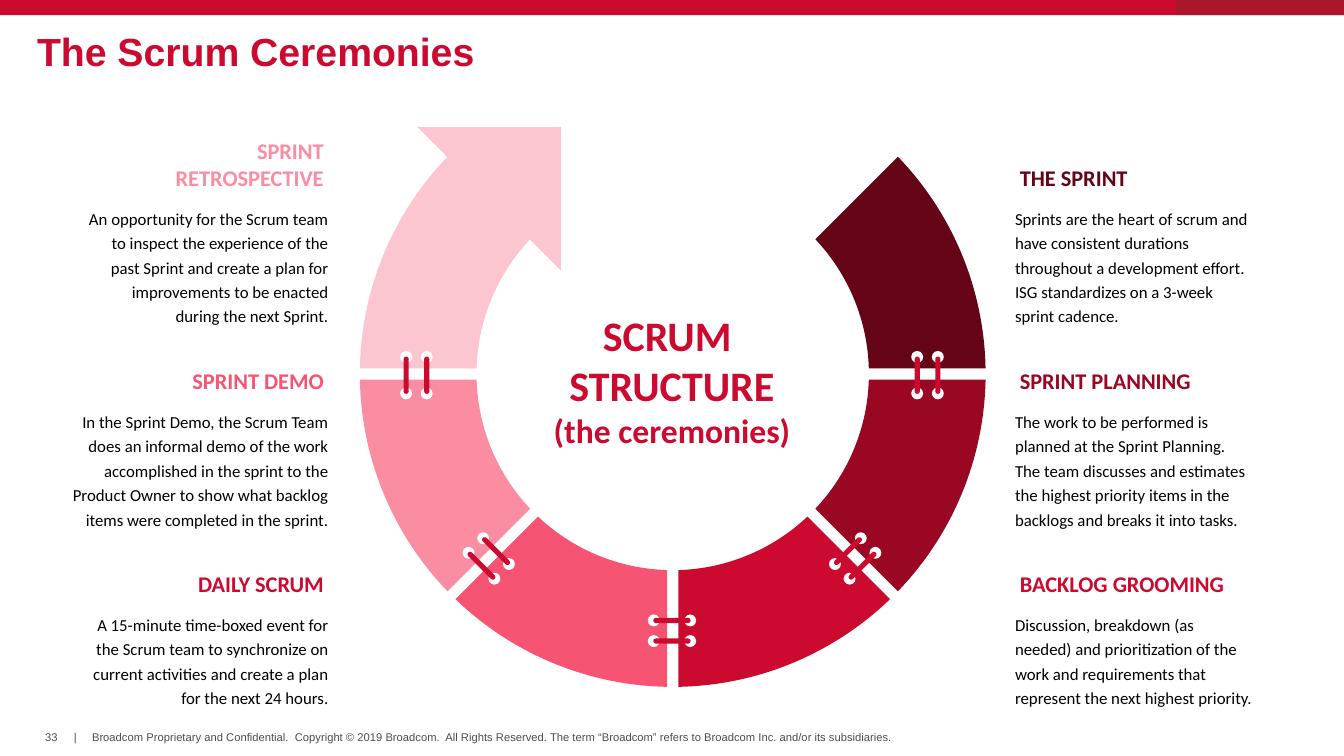
from dataclasses import dataclass
from math import asin, cos, radians, sin, tan

from lxml import etree
from pptx import Presentation, util as u
from pptx.dml.color import RGBColor
from pptx.enum import shapes, text
from pptx.oxml import ns

Cm = u.Cm
MSO, ALIGN, ANCHOR = shapes.MSO_SHAPE, text.PP_ALIGN, text.MSO_ANCHOR


@dataclass(frozen=True)
class Theme:
    """Colours, fonts and type sizes of the slide."""
    maroon: str = "660417"
    crimson: str = "990723"
    red: str = "CC092F"
    coral: str = "F75474"
    pink: str = "FA8DA2"
    blush: str = "FCC6D1"
    accent: str = "AB162C"
    grey: str = "4D4D4F"
    black: str = "000000"
    white: str = "FFFFFF"
    head_font: str = "Arial"
    body_font: str = "Calibri"
    title: float = 28
    hub: float = 30
    hub_note: float = 24
    heading: float = 16
    body: float = 12
    footer: float = 8


T = Theme()

RIGHT_NOTES = [
    (["THE SPRINT"], T.maroon, 6.3,
     "Sprints are the heart of scrum and have consistent durations throughout a "
     "development effort. ISG standardizes on a 3-week sprint cadence."),
    (["SPRINT PLANNING"], T.crimson, 6.3,
     "The work to be performed is planned at the Sprint Planning. The team discusses and "
     "estimates the highest priority items in the backlogs and breaks it into tasks."),
    (["BACKLOG GROOMING"], T.red, 6.3,
     "Discussion, breakdown (as needed) and prioritization of the work and requirements "
     "that represent the next highest priority."),
]
LEFT_NOTES = [
    (["SPRINT", "RETROSPECTIVE"], T.pink, 6.3,
     "An opportunity for the Scrum team to inspect the experience of the past Sprint and "
     "create a plan for improvements to be enacted during the next Sprint."),
    (["SPRINT DEMO"], T.coral, 6.96,
     "In the Sprint Demo, the Scrum Team does an informal demo of the work accomplished in "
     "the sprint to the Product Owner to show what backlog items were completed in the sprint."),
    (["DAILY SCRUM"], T.red, 6.3,
     "A 15-minute time-boxed event for the Scrum team to synchronize on current activities "
     "and create a plan for the next 24 hours."),
]
COPYRIGHT = ("Broadcom Proprietary and Confidential.  Copyright © 2019 Broadcom.  All Rights "
             "Reserved. The term “Broadcom” refers to Broadcom Inc. and/or its subsidiaries.")


def paint(sp, color):
    """Give a shape a flat fill with no line or shadow."""
    sp.fill.solid()
    sp.fill.fore_color.rgb = RGBColor.from_string(color)
    sp.line.fill.background()
    sp.shadow.inherit = False
    return sp


def add_shape(s, kind, x, y, w, h, color, rotation=0):
    """Add a flat preset shape, measured in centimetres."""
    sp = paint(s.shapes.add_shape(kind, Cm(x), Cm(y), Cm(w), Cm(h)), color)
    sp.rotation = rotation
    return sp


def style(p, font, size, color, bold=False):
    """Format every run of a paragraph."""
    for r in p.runs:
        r.font.name, r.font.size, r.font.bold = font, u.Pt(size), bold
        r.font.color.rgb = RGBColor.from_string(color)


def add_text(s, box, lines, font, size, color, bold=False, align=ALIGN.LEFT,
             anchor=ANCHOR.TOP, inset=(0.25, 0.13), wrap=True):
    """Add a text box with one paragraph per line and return its text frame."""
    tf = s.shapes.add_textbox(*map(Cm, box)).text_frame
    tf.word_wrap, tf.vertical_anchor = wrap, anchor
    tf.margin_left = tf.margin_right = Cm(inset[0])
    tf.margin_top = tf.margin_bottom = Cm(inset[1])
    tf.text = "\n".join(lines)
    for p in tf.paragraphs:
        p.alignment = align
        style(p, font, size, color, bold)
    return tf


def add_header(s, x, y, w):
    """Draw the top band and fill the title placeholder."""
    accent_w = w / 8
    add_shape(s, MSO.RECTANGLE, x, y, w, 0.38, T.red)
    add_shape(s, MSO.RECTANGLE, x + w - accent_w, y, accent_w, 0.38, T.accent)
    title = s.shapes.title
    title.left, title.top, title.width, title.height = map(Cm, (x + 0.68, y + 0.74, 31.58, 1.02))
    tf = title.text_frame
    tf.text = "The Scrum Ceremonies"
    tf.auto_size, tf.vertical_anchor = text.MSO_AUTO_SIZE.NONE, ANCHOR.TOP
    p = tf.paragraphs[0]
    p.alignment, p.line_spacing = ALIGN.LEFT, 0.85
    style(p, T.head_font, T.title, T.red, True)


def add_footer(s, x, y):
    """Place the page number, the divider and the copyright line."""
    for dx, w, words in ((0, 0.36, "33"), (0.72, 0.08, "|"), (1.18, 20.35, COPYRIGHT)):
        add_text(s, (x + dx, y, w, 0.33), [words], T.head_font, T.footer, T.grey,
                 inset=(0, 0), wrap=False)


def add_segment(s, cx, cy, outer, inner, start, color, gap=0.14):
    """Draw one eighth of the ring with curved arcs and sides set in by the gap."""
    corners, handles = [], []
    for radius, way in ((outer, 1), (inner, -1)):
        trim = asin(gap / radius)
        ends = [radians(start) + trim, radians(start + 45) - trim][::way]
        reach = 4 / 3 * tan((ends[1] - ends[0]) / 4) * radius
        for a, pull in zip(ends, (reach, -reach)):
            x, y = cx + radius * cos(a), cy + radius * sin(a)
            corners.append((Cm(x), Cm(y)))
            handles.append((Cm(x - pull * sin(a)), Cm(y + pull * cos(a))))
    fb = s.shapes.build_freeform(*corners[0])
    fb.add_line_segments(corners[1:], close=True)
    sp = paint(fb.convert_to_shape(), color)
    lines = list(sp.element.iter(ns.qn("a:lnTo")))
    for line, first in ((lines[0], 0), (lines[2], 2)):
        line.tag = ns.qn("a:cubicBezTo")
        for i, (x, y) in enumerate(handles[first:first + 2]):
            pt = etree.Element(ns.qn("a:pt"), x=str(x - sp.left), y=str(y - sp.top))
            line.insert(i, pt)


def add_stitch(s, cx, cy, radius, angle):
    """Bridge a gap in the ring with two bars that end in white holes."""
    a = radians(angle)

    def place(kind, along, across, w, h, color, rotation):
        """Centre a shape at a radial and a tangential offset."""
        x = cx + (radius + along) * cos(a) - across * sin(a)
        y = cy + (radius + along) * sin(a) + across * cos(a)
        return add_shape(s, kind, x - w / 2, y - h / 2, w, h, color, rotation)

    for along in (-0.26, 0.26):
        for across in (-0.46, 0.46):
            place(MSO.OVAL, along, across, 0.3, 0.3, T.white, 0)
        bar = place(MSO.ROUNDED_RECTANGLE, along, 0, 0.94, 0.13, T.red, (angle + 90) % 180)
        bar.adjustments[0] = 0.5


def add_ring(s, x, y, size):
    """Draw the ring of ceremonies with its arrowhead, stitches and centre text."""
    outer, inner = size / 2, size * 0.3135
    cx, cy = x + outer, y + outer
    tf = add_text(s, (cx - 3.45, cy - 1.77, 6.86, 3.84), ["SCRUM  STRUCTURE", "(the ceremonies)"],
                  T.body_font, T.hub, T.red, True, ALIGN.CENTER, ANCHOR.MIDDLE)
    style(tf.paragraphs[1], T.body_font, T.hub_note, T.red, True)
    add_shape(s, MSO.RIGHT_TRIANGLE, cx - 6.43, cy - 6.22, 3.61, 3.61, T.blush, 180)
    colors = (T.maroon, T.crimson, T.red, T.coral, T.pink, T.blush)
    for i, color in enumerate(colors):
        add_segment(s, cx, cy, outer, inner, 45 * (i - 1), color)
    for i in range(len(colors) - 1):
        add_stitch(s, cx - 0.02, cy + 0.03, 6.53 if i % 2 else 6.44, 45 * i)


def add_notes(s, edge, y, notes, align, pitch=5.12):
    """Stack headed notes against a left or right edge."""
    for i, (heading, color, w, body) in enumerate(notes):
        x = edge - w if align == ALIGN.RIGHT else edge
        top = y + i * pitch
        add_text(s, (x, top - 1.75, w, 1.63), heading, T.body_font, T.heading, color, True,
                 align, ANCHOR.BOTTOM)
        tf = add_text(s, (x, top, w, 3.33 if i < 2 else 2.7), [body], T.body_font, T.body,
                      T.black, align=align, inset=(0.13, 0.08))
        tf.paragraphs[0].line_spacing = u.Pt(17.5)


def main():
    """Build the slide and save it."""
    prs = Presentation()
    prs.slide_width, prs.slide_height = Cm(33.87), Cm(19.05)
    s = prs.slides.add_slide(prs.slide_layouts[5])
    add_header(s, 0, 0, 33.87)
    add_ring(s, 9.07, 1.54, 15.77)
    add_notes(s, 25.45, 5.06, RIGHT_NOTES, ALIGN.LEFT)
    add_notes(s, 8.41, 5.06, LEFT_NOTES, ALIGN.RIGHT)
    add_footer(s, 1.14, 18.41)
    prs.save("out.pptx")


if __name__ == "__main__":
    main()
